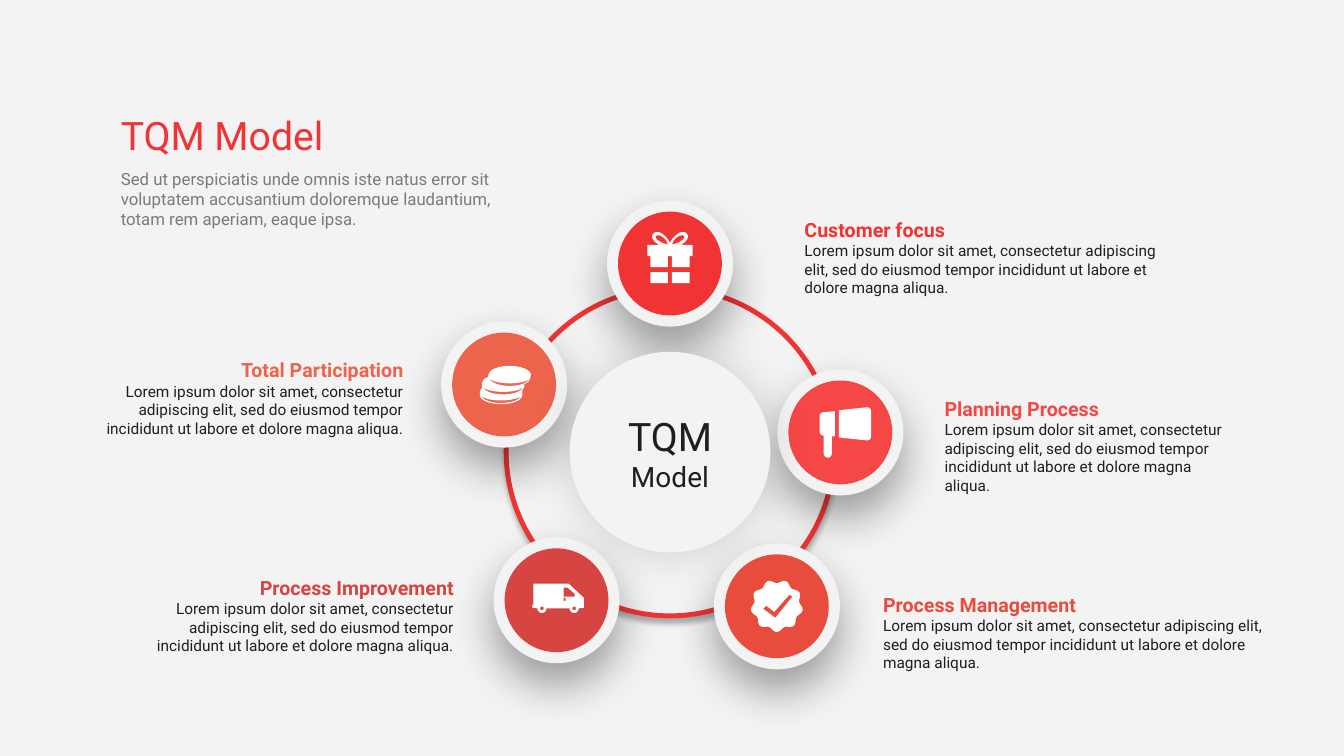
import math

import pptx
import pptx.util
from lxml import etree
from pptx.dml.color import RGBColor
from pptx.enum.shapes import MSO_SHAPE
from pptx.enum.text import MSO_ANCHOR, MSO_AUTO_SIZE, PP_ALIGN
from pptx.oxml.ns import qn
from pptx.util import Inches

LIGHT = RGBColor(0xF3, 0xF3, 0xF3)
DARK = RGBColor(0x20, 0x1E, 0x1E)
WHITE = RGBColor(0xFF, 0xFF, 0xFF)
RED = RGBColor(0xF0, 0x34, 0x34)
ORANGE_RED = RGBColor(0xE7, 0x4C, 0x3C)
BRICK = RGBColor(0xD6, 0x45, 0x41)
CORAL = RGBColor(0xF6, 0x47, 0x47)
SALMON = RGBColor(0xEC, 0x64, 0x4B)

LEFT, CENTER, RIGHT = PP_ALIGN.LEFT, PP_ALIGN.CENTER, PP_ALIGN.RIGHT
TOP, MIDDLE, BOTTOM = MSO_ANCHOR.TOP, MSO_ANCHOR.MIDDLE, MSO_ANCHOR.BOTTOM
LOREM = ("Lorem ipsum dolor sit amet, consectetur adipiscing elit, sed do eiusmod "
         "tempor incididunt ut labore et dolore magna aliqua.")
INTRO = ("Sed ut perspiciatis unde omnis iste natus error sit voluptatem "
         "accusantium doloremque laudantium, totam rem aperiam, eaque ipsa.")

prs = pptx.Presentation()
prs.slide_width, prs.slide_height = Inches(13.33), Inches(7.5)
s = prs.slides.add_slide(prs.slide_layouts[6])
s.background.fill.solid()
s.background.fill.fore_color.rgb = LIGHT


def add_text(box, align, anchor, runs):
    """Add a text box holding one paragraph of (text, size, colour, bold) runs."""
    tf = s.shapes.add_textbox(*[Inches(v) for v in box]).text_frame
    frame = {"word_wrap": True, "auto_size": MSO_AUTO_SIZE.SHAPE_TO_FIT_TEXT,
             "vertical_anchor": anchor}
    for name, value in frame.items():
        setattr(tf, name, value)
    p = tf.paragraphs[0]
    p.alignment = align
    for text, size, color, bold in runs:
        r = p.add_run()
        r.text = text.rstrip("\n")
        font = {"name": "Roboto", "size": pptx.util.Pt(size), "bold": bold}
        for name, value in font.items():
            setattr(r.font, name, value)
        r.font.color.rgb = color
        if text.endswith("\n"):
            p.add_line_break()
    return p


def arc(cx, cy, rx, ry, start, end, steps=24):
    """Points along an ellipse, angles in degrees, clockwise from the right."""
    angles = [math.radians(start + (end - start) * i / steps) for i in range(steps + 1)]
    return [(cx + rx * math.cos(a), cy + ry * math.sin(a)) for a in angles]


# Heading
add_text((1.1, 1.05, 4.18, 0.57), LEFT, BOTTOM, [("TQM Model", 28, RED, False)])
p = add_text((1.1, 1.62, 4.18, 0.71), LEFT, TOP, [(INTRO, 12, DARK, False)])
for clr in p.runs[0].font._element.iter(qn("a:srgbClr")):
    etree.SubElement(clr, qn("a:alpha"), val="56000")

# Stages: title, colour, circle centre, text box, alignment
stages = [
    ("Customer focus", RED, (6.645, 2.615), (7.88, 2.11, 3.78, 0.89), LEFT),
    ("Process Management", ORANGE_RED, (7.705, 6.015), (8.66, 5.83, 3.98, 0.89), LEFT),
    ("Process Improvement", BRICK, (5.52, 5.955), (1.35, 5.66, 3.25, 0.89), RIGHT),
    ("Planning Process", CORAL, (8.335, 4.29), (9.27, 3.88, 3.1, 1.08), LEFT),
    ("Total Participation", SALMON, (5, 3.815), (0.85, 3.5, 3.25, 0.89), RIGHT),
]

# Circles: centre, diameter, fill, line, shadow (opacity %, blur pt, distance pt)
hub = (6.645, 4.485)
circles = [(hub, 3.25, LIGHT, RED, (30, 4, 3))]
for title, color, center, box, align in stages:
    circles += [(center, 1.25, LIGHT, None, (36, 32, 15)),
                (center, 1.03, color, None, None)]
circles.append((hub, 1.99, LIGHT, None, (15, 32, 0)))

for (cx, cy), size, fill, line, shadow in circles:
    sp = s.shapes.add_shape(MSO_SHAPE.OVAL, Inches(cx - size / 2), Inches(cy - size / 2),
                            Inches(size), Inches(size))
    sp.shadow.inherit = False
    sp.fill.solid()
    sp.fill.fore_color.rgb = fill
    if line:
        sp.line.color.rgb = line
        sp.line.width = pptx.util.Pt(3.5)
    else:
        sp.line.fill.background()
    if shadow:
        opacity, blur, dist = shadow
        effects = sp._element.spPr.find(qn("a:effectLst"))
        outer = etree.SubElement(effects, qn("a:outerShdw"), blurRad=str(blur * 12700),
                                 dist=str(dist * 12700), dir="5400000", algn="t",
                                 rotWithShape="0")
        clr = etree.SubElement(outer, qn("a:srgbClr"), val="000000")
        etree.SubElement(clr, qn("a:alpha"), val=str(opacity * 1000))

# Hub and stage texts
add_text((6.1, 4.03, 1.09, 0.91), CENTER, BOTTOM,
         [("TQM ", 28, DARK, False), ("Model", 20, DARK, False)])
for title, color, center, box, align in stages:
    add_text(box, align, MIDDLE, [(title + "\n", 14, color, True), (LOREM, 11, DARK, False)])

# Megaphone: horn, then body with handle
megaphone = [
    [(8.32, 4.07), (8.6, 4.04), (8.62, 4.045), (8.635, 4.06), (8.64, 4.08), (8.64, 4.33),
     (8.635, 4.35), (8.62, 4.365), (8.6, 4.37), (8.32, 4.34)],
    [(8.28, 4.08), (8.28, 4.33), (8.25, 4.33)] + arc(8.21, 4.5, 0.04, 0.04, 0, 180)
    + [(8.17, 4.32), (8.155, 4.32), (8.14, 4.31), (8.13, 4.29), (8.13, 4.12),
       (8.14, 4.1), (8.16, 4.09)],
]

# Badge: nine-lobed outline around a check mark
badge_outline = []
for angle in range(0, 360, 4):
    radius = 0.242 + 0.018 * math.cos(math.radians(9 * (angle - 90)))
    badge_outline += arc(7.705, 6.01, radius, radius, angle, angle, 1)[:1]
check = [(7.69, 6.13), (7.57, 6.04), (7.6, 6.01), (7.68, 6.07), (7.83, 5.9), (7.86, 5.92)]
badge = [badge_outline, check]

# Truck: body with wheels, hubs, windows
wheels = [(5.695, 6.035), (5.375, 6.035)]
truck_body = [(5.28, 6), (5.29, 6), (5.29, 5.79), (5.64, 5.79), (5.79, 5.93), (5.79, 6.03)]
for x, y in wheels:
    truck_body += arc(x, y, 0.045, 0.045, 0, 180)
truck = [truck_body + [(5.28, 6.03)]]
truck += [arc(x, y, 0.018, 0.018, 0, 360) for x, y in wheels]
truck += [[(5.59, 5.93), (5.61, 5.93), (5.61, 5.96), (5.59, 5.96)],
          [(5.59, 5.83), (5.63, 5.83), (5.7, 5.89), (5.7, 5.92), (5.59, 5.92)]]

# Coins: stack outline, then a crescent for the rim of each coin
coins = [arc(5.055, 3.72, 0.21, 0.09, 180, 360)
         + [(5.26, 3.75), (5.24, 3.79), (5.2, 3.81), (5.2, 3.84), (5.18, 3.87)]
         + arc(4.97, 3.92, 0.21, 0.09, 0, 180)
         + [(4.76, 3.88), (4.78, 3.85), (4.78, 3.8), (4.8, 3.76), (4.84, 3.74)]]
for x, y in [(5.055, 3.745), (4.99, 3.83), (4.97, 3.915)]:
    coins.append(arc(x, y, 0.2, 0.058, 0, 180) + arc(x, y, 0.2, 0.083, 180, 0))

# Gift: right half, mirrored about its axis
axis = 6.645
half_box = [(6.645, 2.41), (6.66, 2.38), (6.69, 2.345), (6.72, 2.32), (6.745, 2.305),
            (6.77, 2.3), (6.795, 2.305), (6.815, 2.32), (6.825, 2.345), (6.815, 2.375),
            (6.79, 2.405), (6.75, 2.43), (6.87, 2.43), (6.87, 2.54), (6.84, 2.54),
            (6.84, 2.65), (6.665, 2.65), (6.665, 2.54)]
bow = [(6.665, 2.425), (6.69, 2.42), (6.73, 2.405), (6.77, 2.38), (6.79, 2.355),
       (6.785, 2.34), (6.765, 2.333), (6.735, 2.34), (6.7, 2.365), (6.68, 2.39)]
base = [(6.665, 2.7), (6.84, 2.7), (6.84, 2.81), (6.665, 2.81)]
gift = [half_box + [(2 * axis - x, y) for x, y in reversed(half_box)]]
for part in (bow, base):
    gift += [part, [(2 * axis - x, y) for x, y in part]]

# Icons
for icon in (megaphone, badge, truck, coins, gift):
    outlines = [[(Inches(x), Inches(y)) for x, y in outline] for outline in icon]
    builder = s.shapes.build_freeform(*outlines[0][0])
    for i, points in enumerate(outlines):
        if i:
            builder.move_to(*points[0])
        builder.add_line_segments(points[1:], close=True)
    sp = builder.convert_to_shape()
    sp.shadow.inherit = False
    sp.fill.solid()
    sp.fill.fore_color.rgb = WHITE
    sp.line.fill.background()

prs.save("out.pptx")
